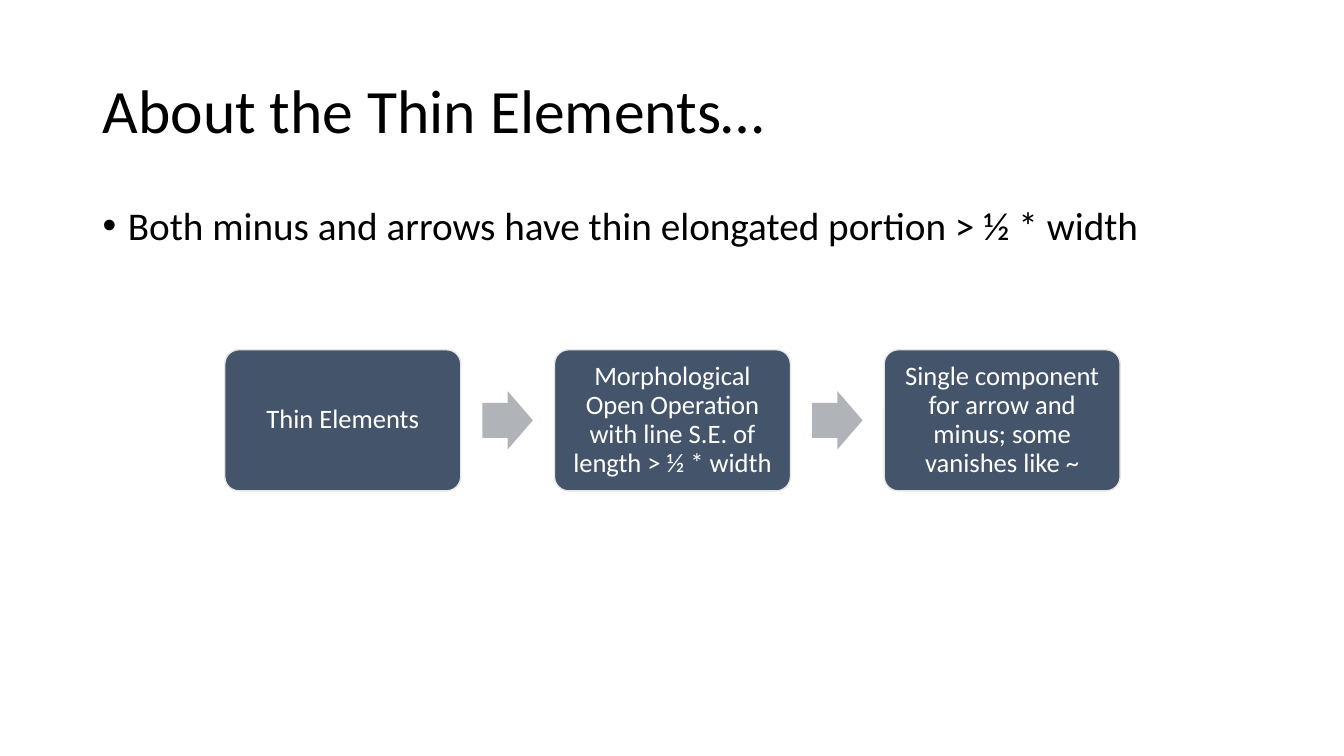
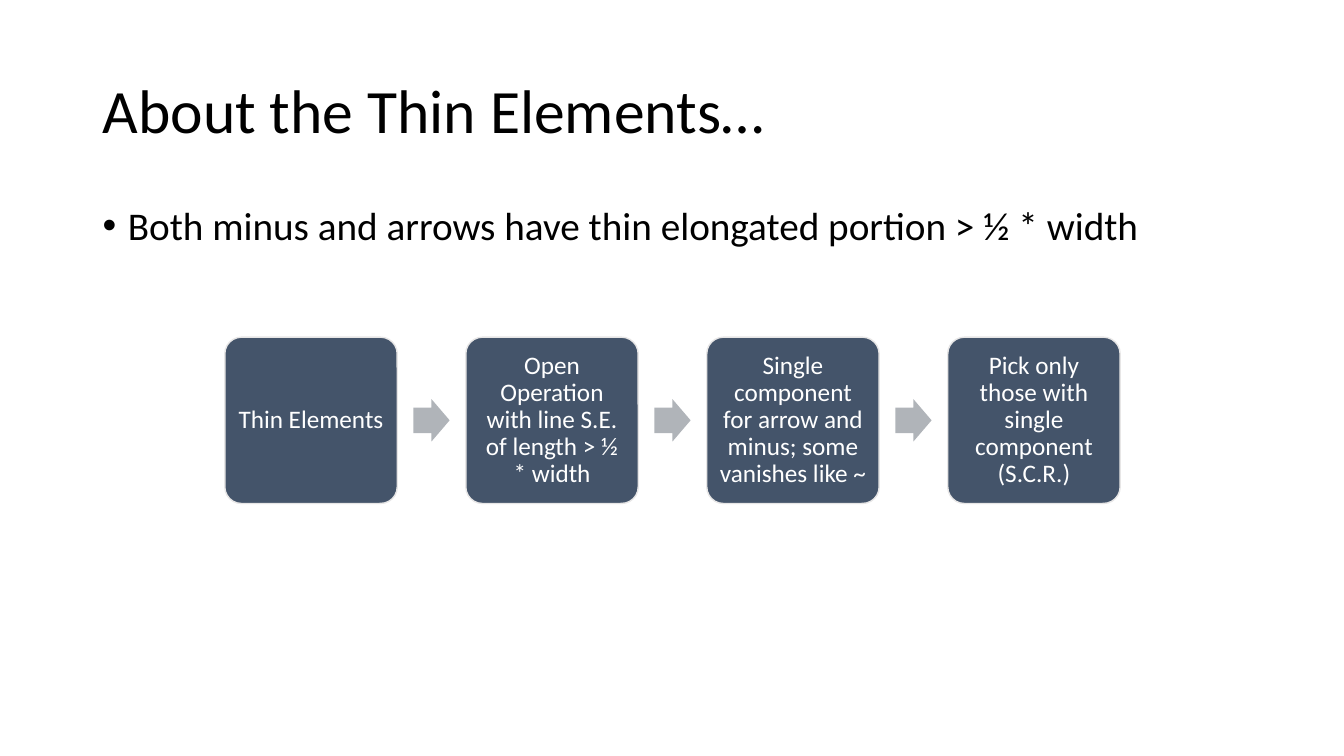
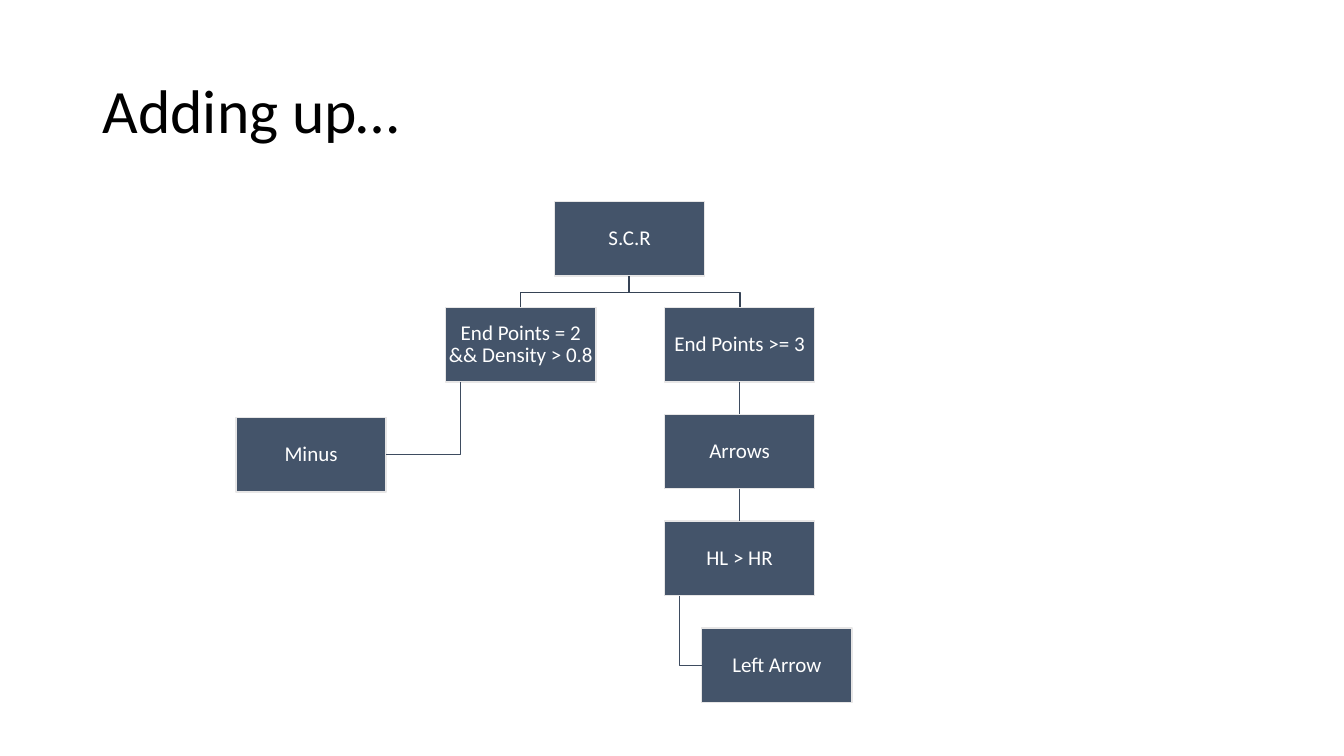
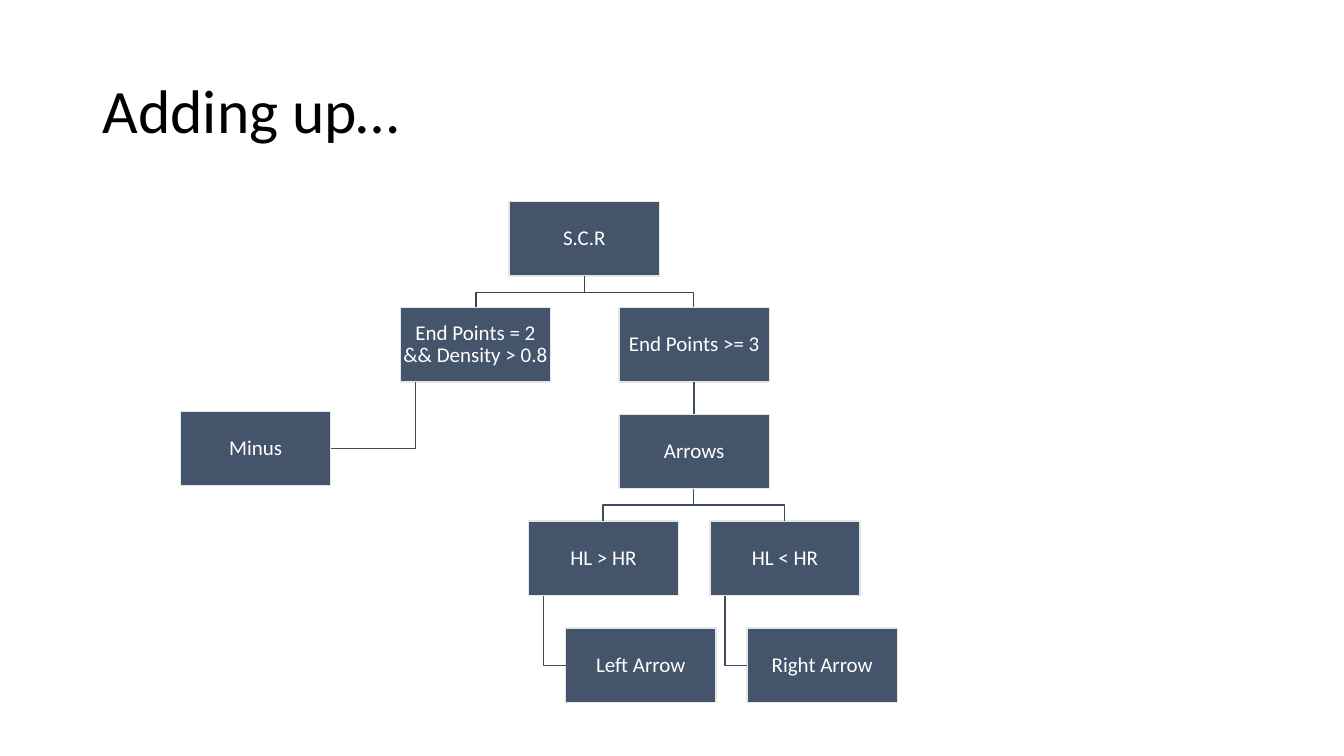
from lxml import etree
from pptx import Presentation
from pptx import util as u
from pptx.dml.color import RGBColor
from pptx.enum import shapes, text
from pptx.oxml.ns import qn

PX = 9144  # EMU per px, 100 px to the inch
FONT = "Calibri"
BLACK, WHITE = "000000", "FFFFFF"
SLATE, PALE, GREY = "44546A", "E7E6E6", "B0B4B9"
LINK_TOP, LINK = "364355", "3E4C60"

FLOW_LEFT, FLOW_WIDTH, FLOW_MIDDLE = 223, 888, 417
NODE_W, NODE_H = 149, 74
STEM_INDENT = 15


def px(*lengths):
    return [u.Emu(round(n * PX)) for n in lengths]


def rgb(hex_):
    return RGBColor.from_string(hex_)


def write(sp, words, size, color, inset=None, **formats):
    """Put one paragraph into a shape; formats are paragraph attributes."""
    tf = sp.text_frame
    tf.word_wrap = True
    if inset is not None:
        for side in ("left", "right", "top", "bottom"):
            setattr(tf, f"margin_{side}", px(inset)[0])
    p = tf.paragraphs[0]
    for name, value in {"line_spacing": 0.9, **formats}.items():
        setattr(p, name, value)
    r = p.add_run()
    r.text = words
    for name, value in {"name": FONT, "size": u.Pt(size)}.items():
        setattr(r.font, name, value)
    r.font.color.rgb = rgb(color)
    return p


def add_bullet(p, indent):
    pPr = p._p.get_or_add_pPr()
    pPr.set("marL", str(indent * PX))
    pPr.set("indent", str(-indent * PX))
    etree.SubElement(pPr, qn("a:buFont")).set("typeface", "Arial")
    etree.SubElement(pPr, qn("a:buChar")).set("char", "•")


def add_slide(prs, title, bullet=None):
    s = prs.slides.add_slide(prs.slide_layouts[6])
    sp = s.shapes.add_textbox(*px(92, 40, 1150, 145))
    write(sp, title, 44, BLACK)
    sp.text_frame.vertical_anchor = text.MSO_ANCHOR.MIDDLE
    if bullet:
        sp = s.shapes.add_textbox(*px(92, 200, 1150, 476))
        add_bullet(write(sp, bullet, 28, BLACK, space_before=u.Pt(10)), 25)
    return s


def add_shape(s, kind, box, fill, adjustments=()):
    sp = s.shapes.add_shape(kind, *px(*box))
    sp.shadow.inherit = False
    sp.fill.solid()
    sp.fill.fore_color.rgb = rgb(fill)
    sp.line.fill.background()
    for i, value in enumerate(adjustments):
        sp.adjustments[i] = value
    return sp


def add_box(s, kind, box, words, size, inset, adjustments=()):
    sp = add_shape(s, kind, box, SLATE, adjustments)
    style_line(sp, PALE)
    write(sp, words, size, WHITE, inset, alignment=text.PP_ALIGN.CENTER)
    sp.text_frame.vertical_anchor = text.MSO_ANCHOR.MIDDLE
    return sp


def style_line(sp, color):
    sp.line.color.rgb = rgb(color)
    sp.line.width = u.Pt(1)


def add_flow(s, steps, box_w, box_h, arrow_w, arrow_h, size, inset):
    """Spread rounded boxes over the flow width, an arrow centred in each gap."""
    pitch = (FLOW_WIDTH - box_w) / (len(steps) - 1)
    for i, words in enumerate(steps):
        x = FLOW_LEFT + i * pitch
        if i:
            gap_middle = x - (pitch - box_w) / 2
            add_shape(s, shapes.MSO_SHAPE.RIGHT_ARROW,
                      (gap_middle - arrow_w / 2, FLOW_MIDDLE - arrow_h / 2, arrow_w, arrow_h),
                      GREY, (0.6, 0.5))
        add_box(s, shapes.MSO_SHAPE.ROUNDED_RECTANGLE,
                (x, FLOW_MIDDLE - box_h / 2, box_w, box_h), words, size, inset, (0.1,))


def row_top(row):
    return 200 + 423 * row // 4


def add_straight_link(s, parent, child, color):
    c = s.shapes.add_connector(shapes.MSO_CONNECTOR.STRAIGHT, 0, 0, 0, 0)
    c.begin_connect(parent, 2)
    c.end_connect(child, 0)
    style_line(c, color)
    etree.SubElement(c._element.spPr, qn("a:effectLst"))


def add_bent_link(s, points, color):
    first, *rest = points
    builder = s.shapes.build_freeform(*first, scale=PX)
    builder.add_line_segments(rest, close=False)
    sp = builder.convert_to_shape()
    sp.shadow.inherit = False
    sp.fill.background()
    style_line(sp, color)


def fork_points(parent, child):
    (x1, y1), (x2, y2) = parent, child
    start, end = x1 + NODE_W / 2, x2 + NODE_W / 2
    middle = (y1 + NODE_H + y2) / 2
    return [(start, y1 + NODE_H), (start, middle), (end, middle), (end, y2)]


def hang_points(parent, child):
    """Go down from near the parent's left corner, then across to the child's near side."""
    (x1, y1), (x2, y2) = parent, child
    stem, middle = x1 + STEM_INDENT, y2 + NODE_H / 2
    side = x2 if x2 > stem else x2 + NODE_W
    return [(stem, y1 + NODE_H), (stem, middle), (side, middle)]


def add_tree(s, nodes):
    """Draw nodes given as (words, x, y, parent's words, whether it hangs)."""
    boxes, places = {}, {}
    for words, x, y, parent, hangs in nodes:
        places[words] = x, y
        boxes[words] = add_box(s, shapes.MSO_SHAPE.RECTANGLE, (x, y, NODE_W, NODE_H),
                               words, 15, 1)
        if not parent:
            continue
        color = LINK_TOP if parent == nodes[0][0] else LINK
        if x == places[parent][0]:
            add_straight_link(s, boxes[parent], boxes[words], color)
        else:
            route = hang_points if hangs else fork_points
            add_bent_link(s, route(places[parent], places[words]), color)


def trunk(x, minus_x, minus_y):
    """Nodes that both trees share, placed from the root's left edge."""
    root, few, many = "S.C.R", "End Points = 2 && Density > 0.8", "End Points >= 3"
    return [
        (root, x, row_top(0), None, False),
        (few, x - 108, row_top(1), root, False),
        ("Minus", minus_x, minus_y, few, True),
        (many, x + 109, row_top(1), root, False),
        ("Arrows", x + 109, row_top(2), many, False),
    ]


def branch(test, result, x):
    return [
        (test, x, row_top(3), "Arrows", False),
        (result, x + 37, row_top(4), test, True),
    ]


def main():
    prs = Presentation()
    prs.slide_width, prs.slide_height = u.Inches(13.33), u.Inches(7.5)

    title = "About the Thin Elements…"
    bullet = "Both minus and arrows have thin elongated portion > ½ * width"
    thin = "Thin Elements"
    single = "Single component for arrow and minus; some vanishes like ~"
    s = add_slide(prs, title, bullet)
    add_flow(s, [thin, "Morphological Open Operation with line S.E. of length > ½ * width",
                 single], 234, 140, 50, 58, 19, 8)
    s = add_slide(prs, title, bullet)
    add_flow(s, [thin, "Open Operation with line S.E. of length > ½ * width", single,
                 "Pick only those with single component (S.C.R.)"], 171, 165, 36, 42, 18, 7)

    title = "Adding up…"
    s = add_slide(prs, title)
    add_tree(s, trunk(550, 234, 414) + branch("HL > HR", "Left Arrow", 659))
    s = add_slide(prs, title)
    add_tree(s, trunk(505, 179, 408) + branch("HL > HR", "Left Arrow", 524)
             + branch("HL < HR", "Right Arrow", 704))

    prs.save("out.pptx")


if __name__ == "__main__":
    main()
